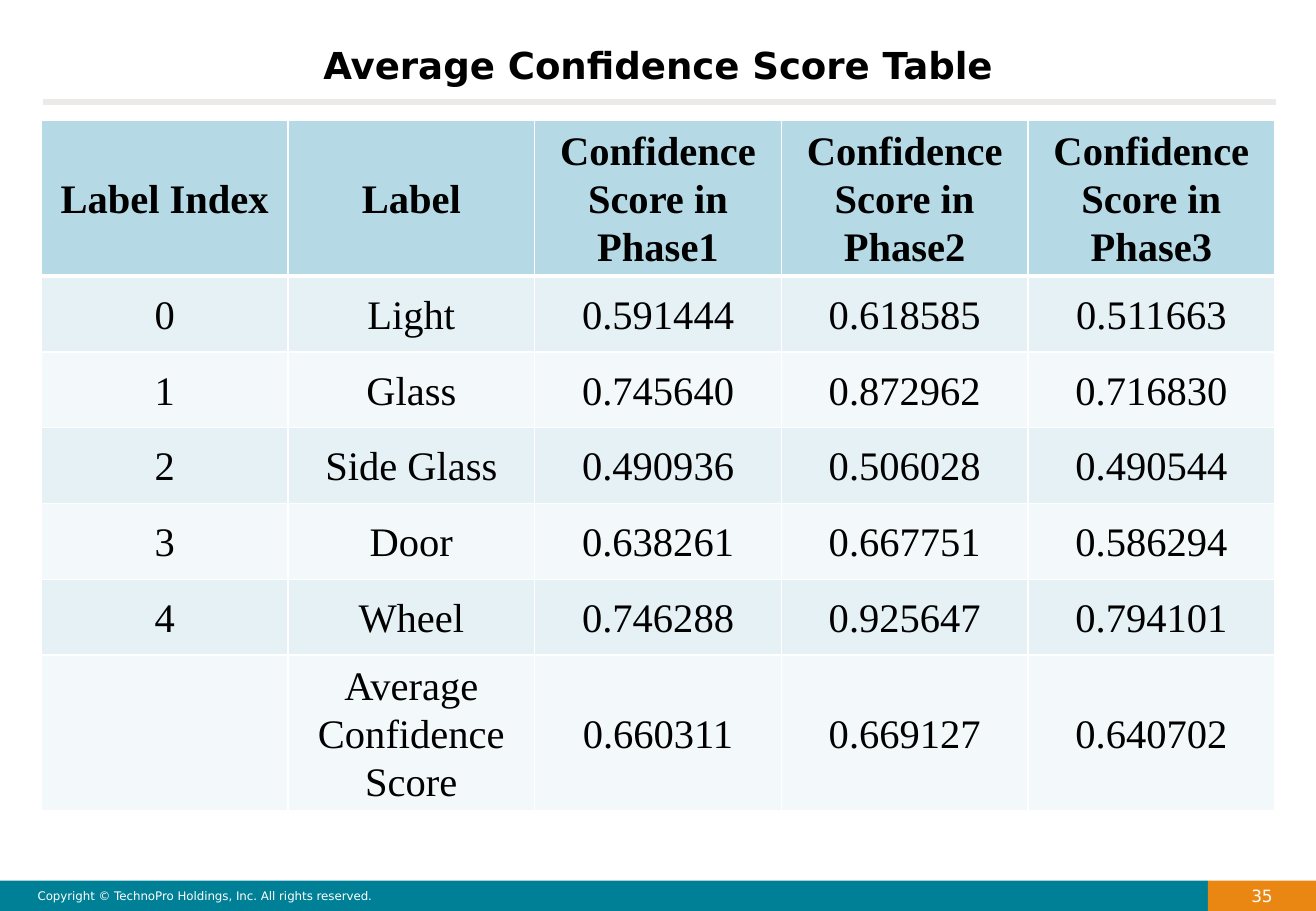
"""Build the average confidence score slide."""
from lxml.etree import SubElement
from pptx import Presentation
from pptx.dml.color import RGBColor
from pptx.enum.shapes import MSO_CONNECTOR, MSO_SHAPE
from pptx.enum.text import MSO_ANCHOR, PP_ALIGN
from pptx.oxml.ns import qn
from pptx.util import Inches, Pt

COLORS = {
    "teal": "008096", "orange": "EA8712", "rule": "EBEAE8",
    "header": "B6DAE5", "odd": "E5F1F5", "even": "F3F8FA",
    "white": "FFFFFF", "black": "000000",
}
ROWS = [
    ["Label Index", "Label"] + [f"Confidence Score in Phase{n}" for n in (1, 2, 3)],
    ["0", "Light", "0.591444", "0.618585", "0.511663"],
    ["1", "Glass", "0.745640", "0.872962", "0.716830"],
    ["2", "Side Glass", "0.490936", "0.506028", "0.490544"],
    ["3", "Door", "0.638261", "0.667751", "0.586294"],
    ["4", "Wheel", "0.746288", "0.925647", "0.794101"],
    ["", "Average Confidence Score", "0.660311", "0.669127", "0.640702"],
]


def write_text(tf, text, size, color, font="DejaVu Sans", bold=False,
               align=PP_ALIGN.CENTER, spacing=None, after=None):
    p = tf.paragraphs[0]
    p.alignment = align
    p.line_spacing = spacing
    p.space_after = after
    r = p.add_run()
    r.text = text
    r.font.name = font
    r.font.size = Pt(size)
    r.font.bold = bold
    r.font.color.rgb = RGBColor.from_string(COLORS[color])


def add_border(cell, side, width):
    ln = SubElement(cell._tc.get_or_add_tcPr(), qn(f"a:ln{side}"), w=str(Pt(width)))
    fill = SubElement(ln, qn("a:solidFill"))
    SubElement(fill, qn("a:srgbClr"), val=COLORS["white"])


prs = Presentation()
prs.slide_width = Inches(10.83)
prs.slide_height = Inches(7.5)
s = prs.slides.add_slide(prs.slide_layouts[6])

footer = [
    (0, 9.94, "teal", "Copyright © TechnoPro Holdings, Inc. All rights reserved.",
     7, PP_ALIGN.LEFT, 0.31),
    (9.94, 0.89, "orange", "35", 10, PP_ALIGN.CENTER, 0.1),
]
for left, width, color, text, size, align, inset in footer:
    sp = s.shapes.add_shape(MSO_SHAPE.RECTANGLE, Inches(left), Inches(7.25),
                            Inches(width), Inches(0.25))
    sp.shadow.inherit = False
    sp.fill.solid()
    sp.fill.fore_color.rgb = RGBColor.from_string(COLORS[color])
    sp.line.fill.background()
    tf = sp.text_frame
    tf.margin_left = Inches(inset)
    tf.margin_top = tf.margin_bottom = 0
    tf.vertical_anchor = MSO_ANCHOR.MIDDLE
    write_text(tf, text, size, "white", align=align)

rule = s.shapes.add_connector(MSO_CONNECTOR.STRAIGHT, Inches(0.35), Inches(0.84),
                              Inches(10.5), Inches(0.84))
rule.line.color.rgb = RGBColor.from_string(COLORS["rule"])
rule.line.width = Pt(3)
SubElement(rule._element.spPr, qn("a:effectLst"))

title = s.shapes.add_textbox(Inches(0.34), Inches(0.3), Inches(10.15), Inches(0.47))
tf = title.text_frame
tf.word_wrap = True
tf.vertical_anchor = MSO_ANCHOR.MIDDLE
write_text(tf, "Average Confidence Score Table", 22, "black", bold=True)

table = s.shapes.add_table(len(ROWS), len(ROWS[0]), Inches(0.34), Inches(0.99),
                           Inches(10.15), Inches(5.48)).table
for column in table.columns:
    column.width = Inches(2.03)
for i, values in enumerate(ROWS):
    table.rows[i].height = Inches(1.18 if i in (0, len(ROWS) - 1) else 0.624)
    row_color = "header" if i == 0 else "odd" if i % 2 else "even"
    for j, text in enumerate(values):
        cell = table.cell(i, j)
        cell.margin_left = cell.margin_right = Inches(0.07)
        cell.margin_top = cell.margin_bottom = 0
        cell.vertical_anchor = MSO_ANCHOR.MIDDLE
        for side in "LRTB":
            add_border(cell, side, 3 if (i, side) in ((0, "B"), (1, "T")) else 1)
        cell.fill.solid()
        cell.fill.fore_color.rgb = RGBColor.from_string(COLORS[row_color])
        if text:
            write_text(cell.text_frame, text, 24, "black", font="Times New Roman",
                       bold=i == 0, spacing=1.07, after=Pt(8))

prs.save("out.pptx")
